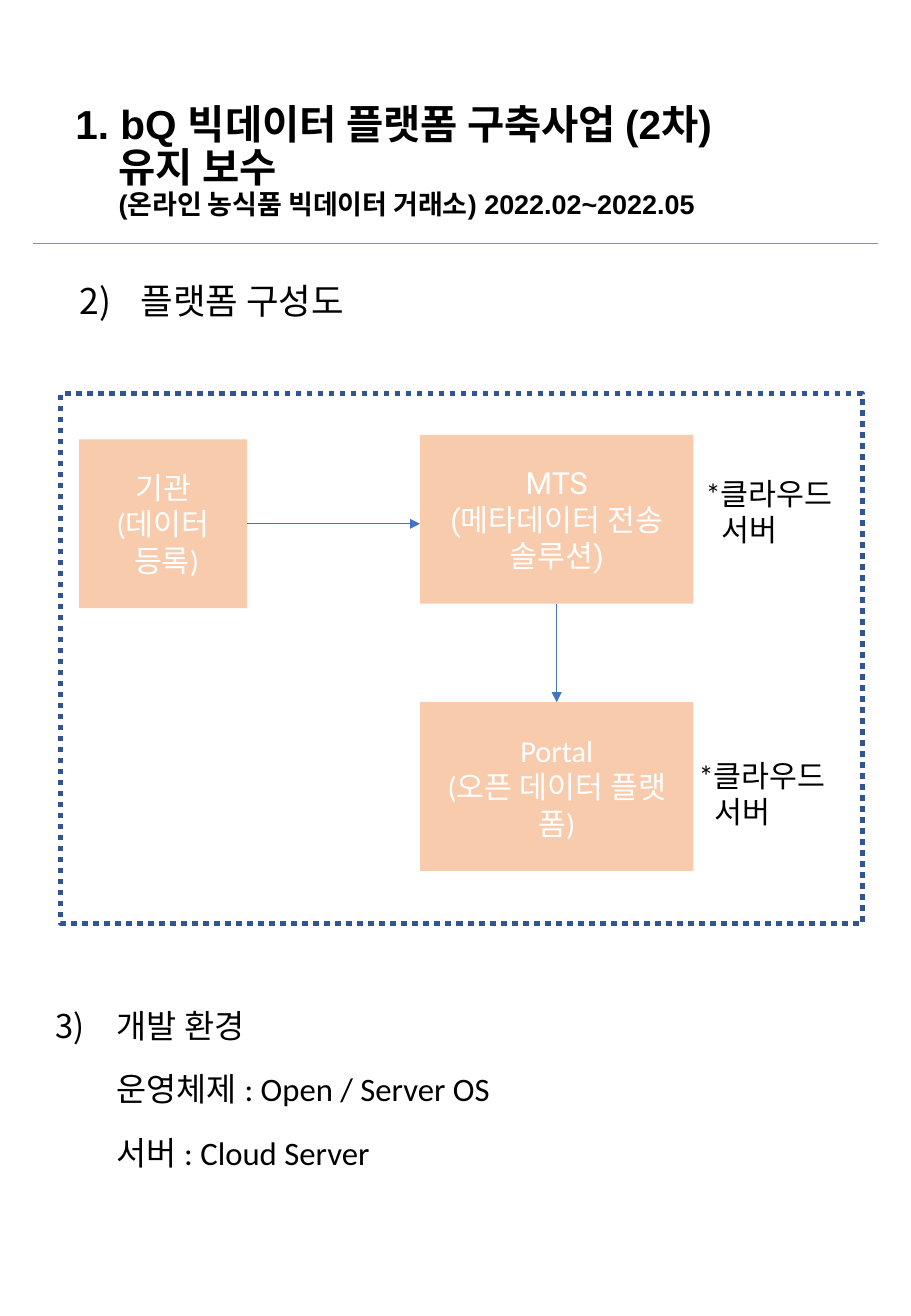
from lxml import etree
from pptx import Presentation
from pptx.dml.color import RGBColor
from pptx.enum.dml import MSO_LINE
from pptx.enum.shapes import MSO_CONNECTOR, MSO_SHAPE
from pptx.enum.text import MSO_ANCHOR, MSO_AUTO_SIZE, PP_ALIGN
from pptx.oxml.ns import qn
from pptx.util import Pt

RECTANGLE = MSO_SHAPE.RECTANGLE
STRAIGHT = MSO_CONNECTOR.STRAIGHT
DOTTED = MSO_LINE.ROUND_DOT
MIDDLE = MSO_ANCHOR.MIDDLE
CENTER, LEFT = PP_ALIGN.CENTER, PP_ALIGN.LEFT
GROW = MSO_AUTO_SIZE.SHAPE_TO_FIT_TEXT
NO_AUTOFIT = MSO_AUTO_SIZE.NONE
TITLE_ONLY = 5
TOP, RIGHT, BOTTOM = 0, 3, 2

COLORS = {
    "text": "000000",
    "white": "FFFFFF",
    "rule": "70AD47",
    "frame": "325491",
    "box": "F8CBAD",
    "arrow": "4472C4",
}


def rgb(name):
    return RGBColor.from_string(COLORS[name])


def set_font(paragraph, size, color="text", face="Calibri", bold=False):
    font = paragraph.font
    font.name, font.size, font.bold = face, Pt(size), bold
    font.color.rgb = rgb(color)


def set_indent(paragraph, left, first=0):
    """Indent a paragraph; a negative first makes it hang."""
    properties = paragraph._p.get_or_add_pPr()
    properties.set("marL", str(Pt(left)))
    properties.set("indent", str(Pt(first)))
    return properties


def set_title(slide):
    title = slide.shapes.title
    title.left, title.top, title.width, title.height = Pt(37.5), Pt(42), Pt(475), Pt(108.5)
    frame = title.text_frame
    frame.word_wrap = True
    frame.auto_size = NO_AUTOFIT
    frame.vertical_anchor = MIDDLE
    heading = frame.paragraphs[0]
    heading.text = "1. bQ 빅데이터 플랫폼 구축사업 (2차)\v유지 보수\v"
    heading.alignment = LEFT
    heading.line_spacing = 0.9
    set_indent(heading, 25.6, -25.6)
    set_font(heading, 24, face="Arial", bold=True)
    period = heading.add_run()
    period.text = "(온라인 농식품 빅데이터 거래소) 2022.02~2022.05"
    period.font.size = Pt(16)


def add_section(slide, position, number, lines, size, line_spacing):
    """Add a numbered heading followed by its indented detail lines."""
    section = slide.shapes.add_textbox(*map(Pt, position))
    frame = section.text_frame
    frame.word_wrap = True
    frame.text = "\n".join(lines)
    for index, paragraph in enumerate(frame.paragraphs):
        paragraph.line_spacing = line_spacing
        paragraph.space_before = Pt(19 if index else 7.5)
        properties = set_indent(paragraph, 36, 0 if index else -36)
        if index == 0:
            etree.SubElement(properties, qn("a:buAutoNum"),
                             type="arabicParenR", startAt=str(number))
        set_font(paragraph, size)


def add_frame(slide):
    frame = slide.shapes.add_shape(RECTANGLE, Pt(36), Pt(233.25), Pt(475.25), Pt(314))
    frame.shadow.inherit = False
    frame.fill.solid()
    frame.fill.fore_color.rgb = rgb("white")
    frame.line.color.rgb = rgb("frame")
    frame.line.width = Pt(3.25)
    frame.line.dash_style = DOTTED


def add_box(slide, left, top, width, text, face="Calibri"):
    box = slide.shapes.add_shape(RECTANGLE, Pt(left), Pt(top), Pt(width), Pt(100))
    box.shadow.inherit = False
    box.fill.solid()
    box.fill.fore_color.rgb = rgb("box")
    box.line.fill.background()
    frame = box.text_frame
    frame.word_wrap = True
    frame.vertical_anchor = MIDDLE
    frame.text = text
    for paragraph in frame.paragraphs:
        paragraph.alignment = CENTER
        set_font(paragraph, 18, "white", face)
    return box


def add_server_note(slide, left, top):
    note = slide.shapes.add_textbox(Pt(left), Pt(top), Pt(96.5), Pt(51))
    frame = note.text_frame
    frame.word_wrap = False
    frame.auto_size = GROW
    paragraph = frame.paragraphs[0]
    paragraph.text = "*클라우드\v서버"
    set_indent(paragraph, 9.5, -9.5)
    set_font(paragraph, 18)


def add_line(slide, start, end, color):
    line = slide.shapes.add_connector(STRAIGHT, *map(Pt, (*start, *end)))
    line.line.color.rgb = rgb(color)
    line.line.width = Pt(0.5)
    etree.SubElement(line._element.spPr, qn("a:effectLst"))
    return line


def add_arrow(slide, start, end):
    arrow = add_line(slide, start, end, "arrow")
    etree.SubElement(arrow.line._get_or_add_ln(), qn("a:tailEnd"), type="triangle")
    return arrow


def add_diagram(slide):
    add_frame(slide)
    agency = add_box(slide, 47, 260.5, 99.5, "기관\n(데이터\v 등록)")
    sender = add_box(slide, 249, 257.75, 162, "MTS\v(메타데이터 전송\v솔루션)", "Roboto")
    platform = add_box(slide, 249, 416.25, 162, "Portal\v(오픈 데이터 플랫폼)")

    registration = add_arrow(slide, (146.5, 310.5), (249, 310.5))
    registration.begin_connect(agency, RIGHT)
    transfer = add_arrow(slide, (330, 357.75), (330, 416.25))
    transfer.begin_connect(sender, BOTTOM)
    transfer.end_connect(platform, TOP)

    add_server_note(slide, 411.25, 278)
    add_server_note(slide, 407, 445)


def main():
    presentation = Presentation()
    presentation.slide_width, presentation.slide_height = Pt(540), Pt(780)
    slide = presentation.slides.add_slide(presentation.slide_layouts[TITLE_ONLY])
    set_title(slide)
    add_line(slide, (19.5, 144), (520.5, 144), "rule")
    add_section(slide, (40.25, 165, 466, 46), 2, ["플랫폼 구성도"], 21, 0.9)
    add_diagram(slide)
    environment = ["개발 환경", "운영체제 : Open / Server OS", "서버 : Cloud Server"]
    add_section(slide, (26, 597, 466, 142), 3, environment, 19.4, 0.8)
    presentation.save("out.pptx")


if __name__ == "__main__":
    main()
